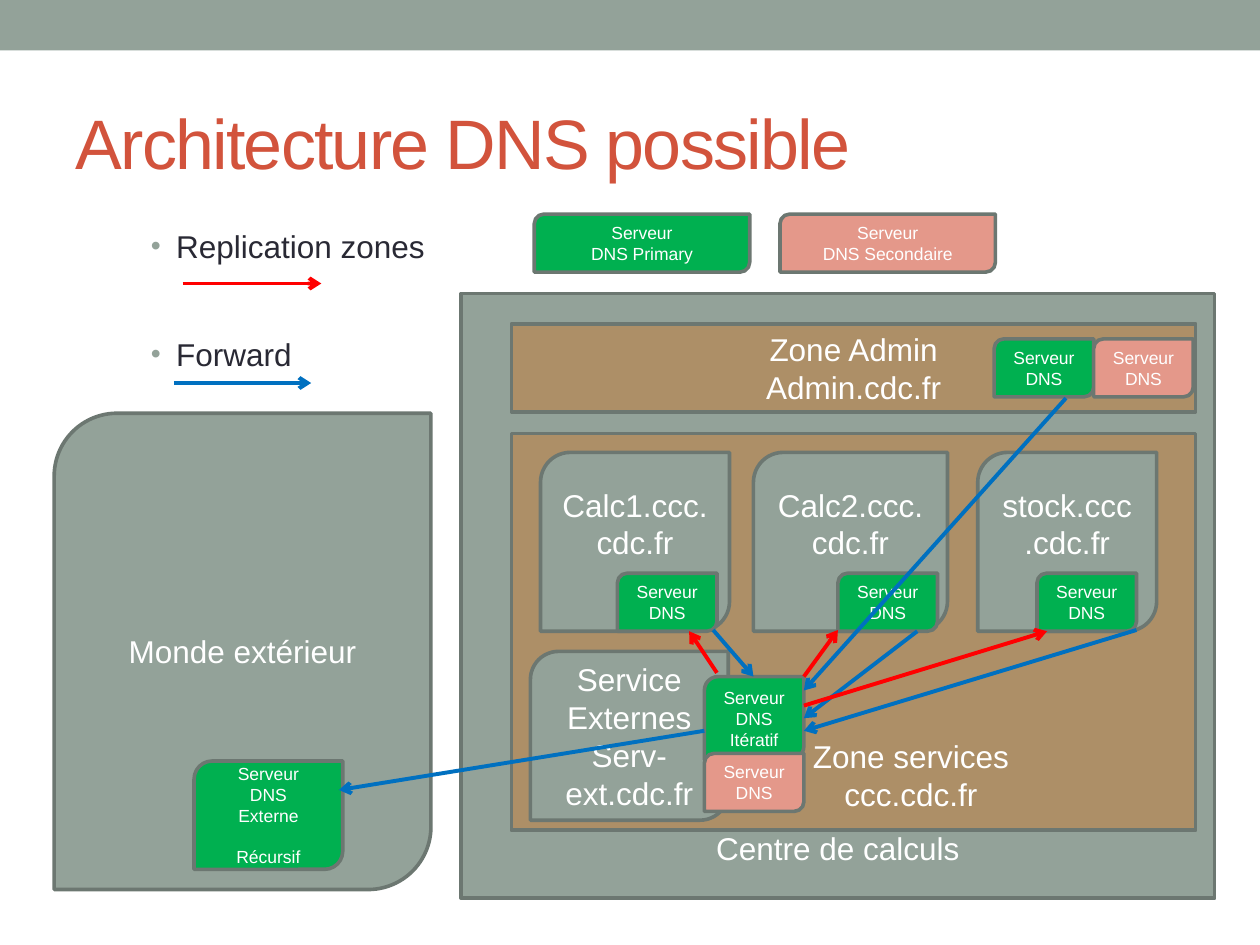
from lxml import etree
from pptx import Presentation
from pptx.dml.color import RGBColor
from pptx.enum.shapes import MSO_CONNECTOR as CONN, MSO_SHAPE as SHAPE
from pptx.enum.text import MSO_ANCHOR as ANCHOR, PP_ALIGN as ALIGN
from pptx.oxml.ns import qn
from pptx.util import Inches, Pt

COLORS = {
    "sage": "93A299", "border": "6C7771", "sand": "AD8F67", "title": "D2533C",
    "text": "292934", "white": "FFFFFF", "primary": "00B050",
    "secondary": "E4988A", "forward": "0070C0", "replication": "FF0000",
}
FONT = "Arial"
SERVER_W, SERVER_H = 0.79, 0.46


def rgb(name):
    """Return the named colour."""
    return RGBColor.from_string(COLORS[name])


def write(tf, text, size=18, color="white", align=ALIGN.CENTER, anchor=ANCHOR.MIDDLE):
    """Write one paragraph per line of text and return the paragraphs."""
    tf.word_wrap = True
    tf.vertical_anchor = anchor
    for i, line in enumerate(text.split("\n")):
        p = tf.paragraphs[0] if i == 0 else tf.add_paragraph()
        p.alignment = align
        r = p.add_run()
        r.text = line
        r.font.name, r.font.size = FONT, Pt(size)
        r.font.color.rgb = rgb(color)
    return tf.paragraphs


def add_box(slide, x, y, w, h, fill, text="", geometry=SHAPE.RECTANGLE, left=0.1, bottom=0.05, **fmt):
    """Add a bordered box with its text and return the paragraphs."""
    sp = slide.shapes.add_shape(geometry, Inches(x), Inches(y), Inches(w), Inches(h))
    sp.shadow.inherit = False
    sp.fill.solid()
    sp.fill.fore_color.rgb = rgb(fill)
    sp.line.color.rgb = rgb("border")
    sp.line.width = Pt(2.07)
    tf = sp.text_frame
    tf.margin_left, tf.margin_right = Inches(left), Inches(0.1)
    tf.margin_top, tf.margin_bottom = Inches(0.05), Inches(bottom)
    return write(tf, text, **fmt)


def add_zone(slide, x, y, w, h, text, **fmt):
    """Add a zone with two rounded corners."""
    return add_box(slide, x, y, w, h, "sage", text, SHAPE.ROUND_2_DIAG_RECTANGLE, **fmt)


def add_server(slide, x, y, text="Serveur\nDNS", w=SERVER_W, h=SERVER_H, role="primary"):
    """Add a DNS server coloured by its role."""
    return add_box(slide, x, y, w, h, role, text, SHAPE.ROUND_2_DIAG_RECTANGLE, size=10)


def add_arrow(slide, role, x1, y1, x2, y2):
    """Add an arrow coloured by the exchange it stands for."""
    cx = slide.shapes.add_connector(CONN.STRAIGHT, Inches(x1), Inches(y1), Inches(x2), Inches(y2))
    cx.line.color.rgb = rgb(role)
    cx.line.width = Pt(2.25)
    etree.SubElement(cx.line._get_or_add_ln(), qn("a:tailEnd"), type="arrow")
    etree.SubElement(cx._element.spPr, qn("a:effectLst"))


def add_header(slide, w):
    """Add the top band and format the title."""
    sp = slide.shapes.add_shape(SHAPE.RECTANGLE, 0, 0, Inches(w), Inches(0.4))
    sp.shadow.inherit = False
    sp.fill.solid()
    sp.fill.fore_color.rgb = rgb("sage")
    sp.line.fill.background()
    title = slide.shapes.title
    title.left, title.top = Inches(0.5), Inches(0.58)
    title.width, title.height = Inches(w - 1), Inches(1.08)
    p = write(title.text_frame, "Architecture DNS possible", size=40, color="title", align=ALIGN.LEFT)[0]
    p.runs[0].font._element.set("spc", "-100")


def add_legend(slide, x, y):
    """Add the key to the arrows and to the server colours."""
    tb = slide.shapes.add_textbox(Inches(x), Inches(y), Inches(3.1), Inches(1.4))
    paragraphs = write(tb.text_frame, "Replication zones\nForward", color="text",
                       align=ALIGN.LEFT, anchor=ANCHOR.TOP)
    for p in paragraphs:
        pPr = p._p.get_or_add_pPr()
        pPr.set("marL", str(Inches(0.8)))
        pPr.set("indent", str(Inches(-0.2)))
        color = etree.SubElement(pPr, qn("a:buClr"))
        etree.SubElement(color, qn("a:srgbClr"), val=COLORS["sage"])
        etree.SubElement(pPr, qn("a:buSzPct"), val="90000")
        etree.SubElement(pPr, qn("a:buFont"), typeface=FONT)
        etree.SubElement(pPr, qn("a:buChar"), char="•")
    paragraphs[1].space_before = Pt(40.4)
    add_arrow(slide, "replication", x + 0.95, y + 0.5, x + 2.05, y + 0.5)
    add_arrow(slide, "forward", x + 0.88, y + 1.29, x + 1.97, y + 1.29)
    add_server(slide, x + 3.74, y - 0.05, "Serveur\nDNS Primary", w=1.71)
    add_server(slide, x + 5.69, y - 0.05, "Serveur\nDNS Secondaire", w=1.71, role="secondary")


def add_outside(slide, x, y):
    """Add the outside world and its recursive server."""
    add_zone(slide, x, y, 2.99, 3.78, "Monde extérieur")
    paragraphs = add_server(slide, x + 1.11, y + 2.76, "Serveur\nDNS\nExterne\nRécursif", w=1.18, h=0.86)
    paragraphs[-1].space_before = Pt(11.5)


def add_admin(slide, x, y):
    """Add the admin zone and its pair of servers."""
    add_box(slide, x, y, 5.43, 0.7, "sand", "Zone Admin\nAdmin.cdc.fr")
    add_server(slide, x + 3.83, y + 0.12)
    add_server(slide, x + 3.83 + SERVER_W, y + 0.12, role="secondary")


def add_services(slide, x, y):
    """Add the services zone with its subzones and servers."""
    add_box(slide, x, y, 5.43, 3.15, "sand", "Zone services\nccc.cdc.fr",
            left=1.01, bottom=0.14, anchor=ANCHOR.BOTTOM)
    subzones = [
        ("Calc1.ccc.cdc.fr", 0.23, 1.5, 0.84),
        ("Calc2.ccc.cdc.fr", 1.92, 1.54, 2.59),
        ("stock.ccc.cdc.fr", 3.7, 1.42, 4.17),
    ]
    for name, dx, w, server_dx in subzones:
        add_zone(slide, x + dx, y + 0.15, w, 1.42, name, bottom=0.34)
        add_server(slide, x + server_dx, y + 1.11)
    add_zone(slide, x + 0.15, y + 1.73, 1.57, 1.34, "Service Externes\nServ-ext.cdc.fr")
    add_server(slide, x + 1.53, y + 1.93, "Serveur\nDNS\nItératif", h=0.66)
    add_server(slide, x + 1.53, y + 2.54, role="secondary")


def add_centre(slide, x, y):
    """Add the computing centre and the zones inside it."""
    add_box(slide, x, y, 5.98, 4.8, "sage", "Centre de calculs", bottom=0.25, anchor=ANCHOR.BOTTOM)
    add_services(slide, x + 0.4, y + 1.11)
    add_admin(slide, x + 0.4, y + 0.24)


def add_links(slide, x, y):
    """Add the exchanges around the iterative server at the given corner."""
    right = x + SERVER_W
    links = [
        ("forward", x + 2.87, y - 2.21, right, y + 0.11),
        ("forward", x, y + 0.43, x - 2.9, y + 0.9),
        ("forward", x + 0.07, y - 0.37, x + 0.39, y),
        ("forward", x + 1.69, y - 0.36, right, y + 0.33),
        ("forward", x + 3.43, y - 0.37, right, y + 0.43),
        ("replication", x + 0.1, y - 0.03, x - 0.12, y - 0.36),
        ("replication", right, y, x + 1.06, y - 0.37),
        ("replication", right, y + 0.23, x + 2.72, y - 0.36),
    ]
    for link in links:
        add_arrow(slide, *link)


def main():
    """Build the slide and save it."""
    prs = Presentation()
    prs.slide_width, prs.slide_height = Inches(10), Inches(7.5)
    slide = prs.slides.add_slide(prs.slide_layouts[5])
    add_header(slide, 10)
    add_legend(slide, 0.5, 1.75)
    add_outside(slide, 0.43, 3.28)
    add_centre(slide, 3.66, 2.33)
    add_links(slide, 5.59, 5.37)
    prs.save("out.pptx")


if __name__ == "__main__":
    main()
